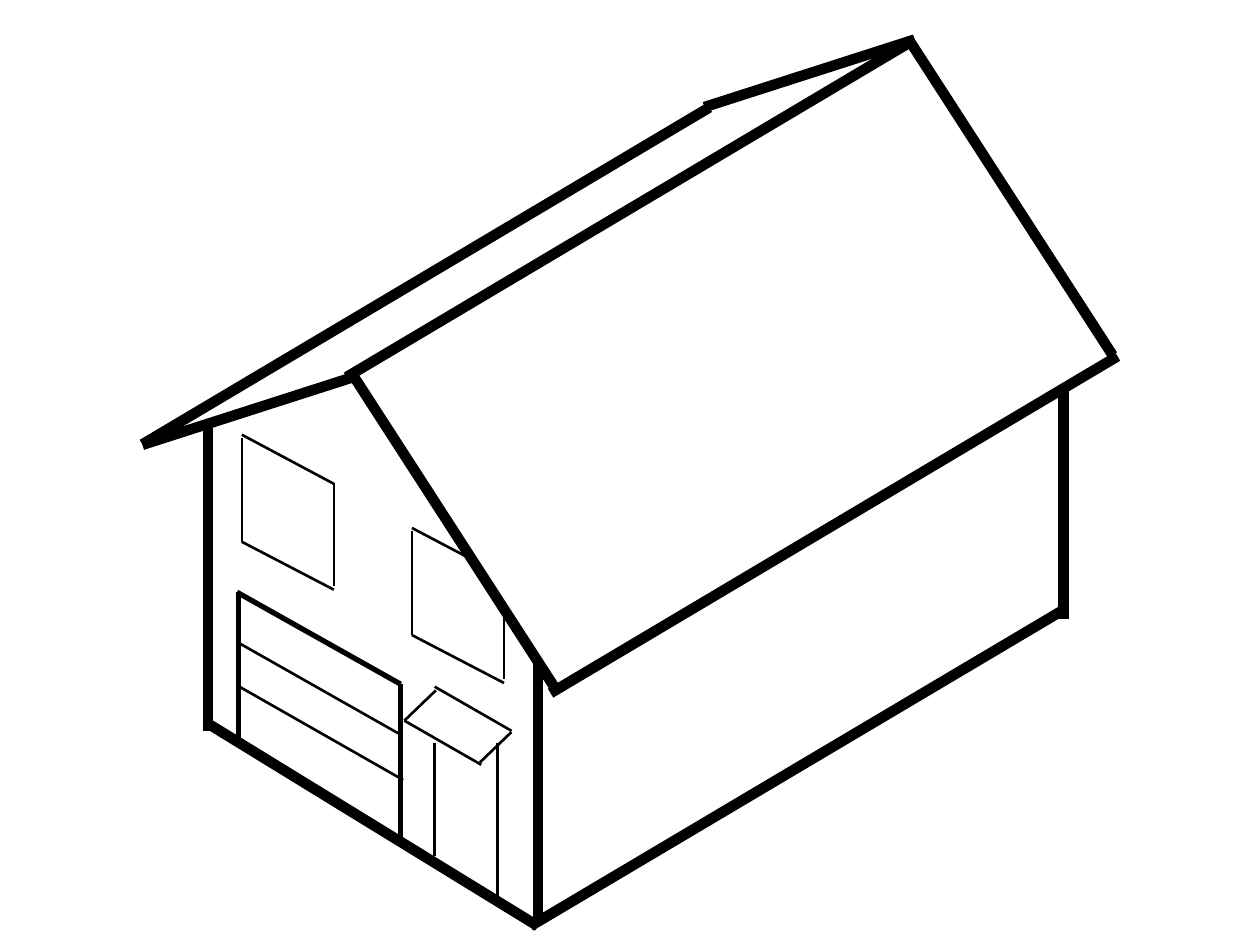
from dataclasses import dataclass

from lxml.etree import SubElement
from pptx import Presentation
from pptx.dml.color import RGBColor
from pptx.enum.shapes import MSO_CONNECTOR
from pptx.oxml.ns import qn
from pptx.util import Pt

BLACK = RGBColor(0x00, 0x00, 0x00)
WHITE = RGBColor(0xFF, 0xFF, 0xFF)
HEAVY, MEDIUM, THIN = 6, 3, 1.5


@dataclass(frozen=True)
class Stroke:
    """A straight line, in points."""
    x1: float
    y1: float
    x2: float
    y2: float
    weight: float = THIN


@dataclass(frozen=True)
class Window:
    """A window by its top left corner, with the ends the roof cuts off."""
    left: float
    top: float
    top_edge_width: float = 52.6
    top_edge_drop: float = 28.1
    right_edge_start: float = 27.4

    def strokes(self) -> list[Stroke]:
        x, y, right = self.left, self.top, self.left + 52.6
        return [
            Stroke(x, y, x + self.top_edge_width, y + self.top_edge_drop),
            Stroke(x, y + 61.2, right, y + 88.6),
            Stroke(x, y + 2, x, y + 61.2),
            Stroke(right, y + self.right_edge_start, right, y + 86.4),
        ]


def parallel(starts: list[tuple[float, float]], run: float, rise: float,
             weight: float = THIN) -> list[Stroke]:
    """Equal strokes that leave each start in the same direction."""
    return [Stroke(x, y, x + run, y + rise, weight) for x, y in starts]


def draw_stroke(slide, stroke: Stroke) -> None:
    connector = slide.shapes.add_connector(
        MSO_CONNECTOR.STRAIGHT,
        Pt(stroke.x1), Pt(stroke.y1), Pt(stroke.x2), Pt(stroke.y2))
    connector.line.color.rgb = BLACK
    connector.line.width = Pt(stroke.weight)
    SubElement(connector._element.spPr, qn("a:effectLst"))


# Roof: ridge and both eaves, right rakes, left rakes
ROOF = [
    *parallel([(522, 23), (638.6, 203.6), (405.4, 61.4)], -324, 192.5, HEAVY),
    *parallel([(519.1, 22.3), (202.3, 215.3)], 116.7, 180.7, HEAVY),
    *parallel([(81.4, 254.2), (402.5, 61.2)], 120.2, -38.6, HEAVY),
]

# Walls: base of the side, three corners, base of the front
WALLS = [
    Stroke(607.7, 348.5, 303.1, 529.2, HEAVY),
    Stroke(607.7, 221, 607.7, 353.5, HEAVY),
    Stroke(118.8, 242.6, 118.8, 417.6, HEAVY),
    Stroke(307.4, 378.7, 307.4, 526.3, HEAVY),
    Stroke(117.4, 412.6, 307.4, 529.2, HEAVY),
]

# Garage door: frame and panel joints
GARAGE = [
    Stroke(135.4, 338.4, 229, 391, MEDIUM),
    Stroke(136.1, 338.4, 136.1, 424.8, MEDIUM),
    Stroke(229, 391, 229, 479.5, MEDIUM),
    Stroke(136.8, 392.4, 230.4, 445.7),
    Stroke(136.1, 367.2, 227.5, 419),
]

# Front door: canopy and posts
ENTRANCE = [
    *parallel([(248.4, 392.4), (231.1, 411.8)], 43.9, 25.2),
    *parallel([(231.1, 411.8), (274.3, 435.6)], 18, -17.3),
    Stroke(284.4, 516.2, 284.4, 424.8),
    Stroke(248.4, 488.9, 248.4, 424.8),
]

WINDOWS = [
    Window(138.2, 248.4),
    Window(235.4, 301.7, top_edge_width=38.2, top_edge_drop=20.1,
           right_edge_start=46.8),
]


def main() -> None:
    presentation = Presentation()
    presentation.slide_width, presentation.slide_height = Pt(720), Pt(540)
    slide = presentation.slides.add_slide(presentation.slide_layouts[6])
    slide.background.fill.solid()
    slide.background.fill.fore_color.rgb = WHITE

    window_strokes = [stroke for window in WINDOWS
                      for stroke in window.strokes()]
    for stroke in ROOF + WALLS + GARAGE + ENTRANCE + window_strokes:
        draw_stroke(slide, stroke)

    presentation.save("out.pptx")


main()
